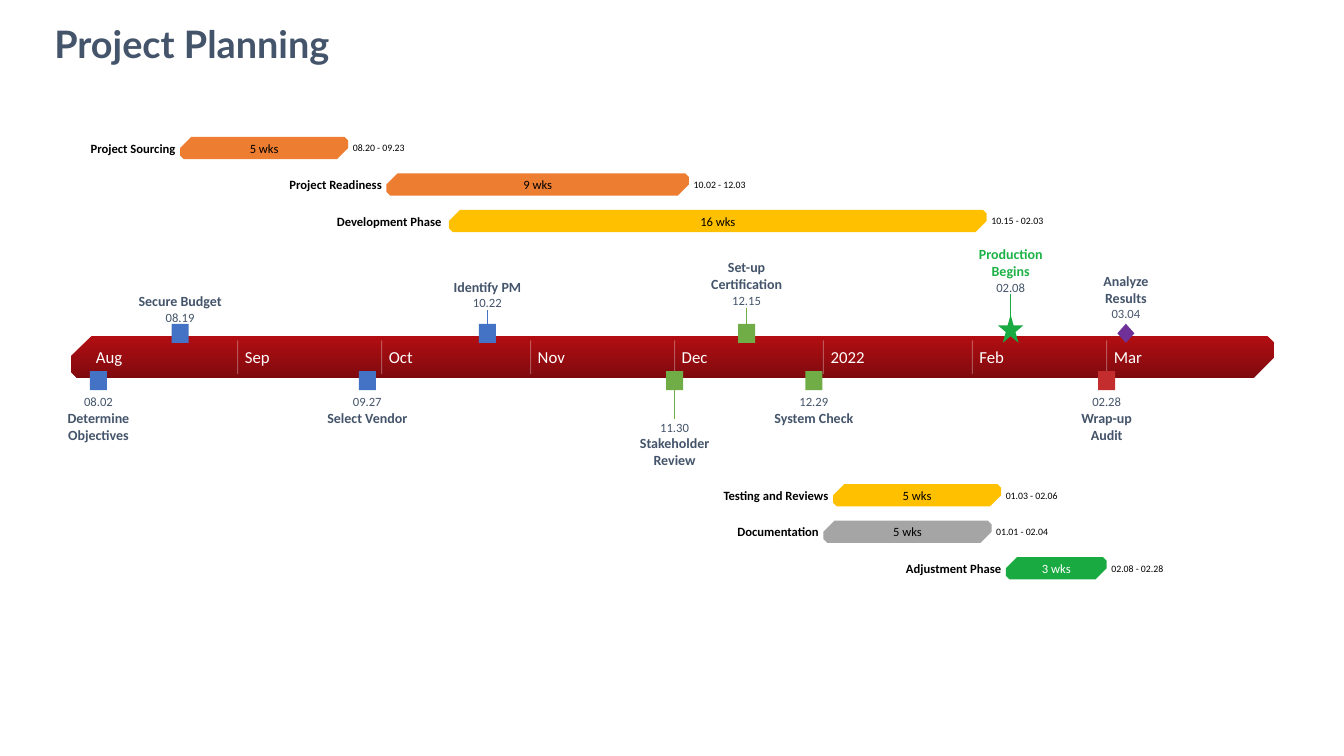
from dataclasses import dataclass

from lxml import etree
from pptx import Presentation
from pptx.dml.color import RGBColor
from pptx.enum.shapes import MSO_CONNECTOR, MSO_SHAPE
from pptx.enum.text import MSO_ANCHOR, PP_ALIGN
from pptx.oxml.ns import qn
from pptx.shapes.autoshape import Shape
from pptx.shapes.connector import Connector
from pptx.slide import Slide
from pptx.text.text import TextFrame
from pptx.util import Cm, Pt

SQUARE, STAR, DIAMOND = MSO_SHAPE.RECTANGLE, MSO_SHAPE.STAR_5_POINT, MSO_SHAPE.DIAMOND
SNIPPED, STRAIGHT = MSO_SHAPE.SNIP_2_DIAG_RECTANGLE, MSO_CONNECTOR.STRAIGHT
LEFT, CENTER, RIGHT = PP_ALIGN.LEFT, PP_ALIGN.CENTER, PP_ALIGN.RIGHT
MIDDLE, BOTTOM = MSO_ANCHOR.MIDDLE, MSO_ANCHOR.BOTTOM
TOP_SIDE, BOTTOM_SIDE = 0, 2

BLUE, LEAF, GREEN = "4472C4", "70AD47", "1AAA42"
ORANGE, AMBER, GRAY = "ED7D31", "FFC000", "A5A5A5"
SLATE, WHITE, BLACK = "44546A", "FFFFFF", "000000"

# Horizontal scale, in centimetres and days since August 1
AUGUST_X, MARCH_X, MARCH_DAY = 2.24, 27.89, 212
MONTHS = {"08": ("Aug", 0), "09": ("Sep", 31), "10": ("Oct", 61), "11": ("Nov", 92),
          "12": ("Dec", 122), "01": ("2022", 153), "02": ("Feb", 184), "03": ("Mar", MARCH_DAY)}

BAND_Y, BAND_HEIGHT = 8.46, 1.07
BAR_HEIGHT, BAR_STEP = 0.56, 0.92
DATE_HEIGHT, TITLE_LINE = 0.38, 0.43
UPPER_MARKER_BOTTOM, LOWER_MARKER_TOP = 8.64, 9.35
MIN_STEM_GAP = 0.2


@dataclass(frozen=True)
class Task:
    name: str
    start: str
    end: str
    weeks: int
    fill: str
    ink: str = BLACK


@dataclass(frozen=True)
class Milestone:
    title: str
    date: str
    date_y: float
    title_width: float
    lines: int
    fill: str
    above: bool
    marker: MSO_SHAPE = SQUARE
    marker_size: tuple[float, float] = (0.43, 0.48)
    ink: str = SLATE


UPPER_TASKS = [
    Task("Project Sourcing", "08.20", "09.23", 5, ORANGE),
    Task("Project Readiness", "10.02", "12.03", 9, ORANGE),
    Task("Development Phase ", "10.15", "02.03", 16, AMBER),
]
LOWER_TASKS = [
    Task("Testing and Reviews", "01.03", "02.06", 5, AMBER),
    Task("Documentation", "01.01", "02.04", 5, GRAY),
    Task("Adjustment Phase", "02.08", "02.28", 3, GREEN, WHITE),
]
MILESTONES = [
    Milestone("Secure Budget", "08.19", 7.8, 2.16, 1, BLUE, True),
    Milestone("Identify PM", "10.22", 7.44, 1.8, 1, BLUE, True),
    Milestone("Set-up Certification", "12.15", 7.37, 1.85, 2, LEAF, True),
    Milestone("Production Begins", "02.08", 7.04, 1.72, 2, GREEN, True, STAR, (0.64, 0.71), "1DB246"),
    Milestone("Analyze Results", "03.04", 7.72, 1.28, 2, "6F3198", True, DIAMOND),
    Milestone("Determine Objectives", "08.02", 9.93, 1.69, 2, BLUE, False),
    Milestone("Select Vendor", "09.27", 9.93, 2.14, 1, BLUE, False),
    Milestone("Stakeholder Review", "11.30", 10.57, 1.92, 2, LEAF, False),
    Milestone("System Check", "12.29", 9.93, 2.08, 1, LEAF, False),
    Milestone("Wrap-up Audit", "02.28", 9.93, 1.42, 2, "C32D2E", False),
]


def color(value: str) -> RGBColor:
    return RGBColor.from_string(value)


def day_x(date: str, days_later: int = 0) -> float:
    """Return where the day "MM.DD" begins, moved on by some days."""
    month, day = date.split(".")
    days = MONTHS[month][1] + int(day) - 1 + days_later
    return AUGUST_X + days * (MARCH_X - AUGUST_X) / MARCH_DAY


def write(frame: TextFrame, text: str, size: float, ink: str, align: PP_ALIGN,
          bold: bool = False, font: str = "Calibri") -> None:
    frame.word_wrap = True
    frame.vertical_anchor = MIDDLE
    frame.margin_left = frame.margin_right = frame.margin_top = frame.margin_bottom = 0
    para = frame.paragraphs[0]
    para.text = text
    para.alignment = align
    para.font.name, para.font.size, para.font.bold = font, Pt(size), bold
    para.font.color.rgb = color(ink)


def add_text(page: Slide, x: float, y: float, width: float, height: float, text: str,
             size: float, ink: str, align: PP_ALIGN = LEFT, bold: bool = False,
             font: str = "Calibri") -> Shape:
    box = page.shapes.add_textbox(Cm(x), Cm(y), Cm(width), Cm(height))
    write(box.text_frame, text, size, ink, align, bold, font)
    return box


def add_figure(page: Slide, kind: MSO_SHAPE, x: float, y: float, width: float,
               height: float, fill: str) -> Shape:
    figure = page.shapes.add_shape(kind, Cm(x), Cm(y), Cm(width), Cm(height))
    figure.shadow.inherit = False
    figure.line.fill.background()
    figure.fill.solid()
    figure.fill.fore_color.rgb = color(fill)
    if kind == SNIPPED:
        figure.adjustments[0], figure.adjustments[1] = 1, 0.167
    return figure


def add_vertical(page: Slide, x: float, top: float, bottom: float, ink: str) -> Connector:
    line = page.shapes.add_connector(STRAIGHT, Cm(x), Cm(top), Cm(x), Cm(bottom))
    line.line.color.rgb = color(ink)
    line.line.width = Pt(0.75)
    etree.SubElement(line._element.spPr, qn("a:effectLst"))
    return line


def add_band(page: Slide) -> None:
    """Draw the month band with its ticks and labels."""
    band = add_figure(page, SNIPPED, 1.78, BAND_Y, 30.33, BAND_HEIGHT, WHITE)
    band.fill.gradient()
    band.fill.gradient_angle = 270
    for stop, shade in zip(band.fill.gradient_stops, ("B20E12", "7F0A0E")):
        stop.color.rgb = color(shade)
    for month, (label, first_day) in MONTHS.items():
        x = day_x(f"{month}.01")
        add_text(page, x + 0.18, BAND_Y, 1, BAND_HEIGHT, label, 12, WHITE)
        if first_day:
            tick = add_vertical(page, x, 8.58, 9.42, WHITE)
            ink = next(tick._element.iter(qn("a:srgbClr")))
            etree.SubElement(ink, qn("a:alpha"), val="30000")


def add_task(page: Slide, task: Task, y: float) -> None:
    left, right = day_x(task.start), day_x(task.end, 1)
    bar = add_figure(page, SNIPPED, left, y, right - left, BAR_HEIGHT, task.fill)
    write(bar.text_frame, f"{task.weeks} wks", 9, task.ink, CENTER)
    name_width = 2.8
    add_text(page, left - 0.12 - name_width, y, name_width, BAR_HEIGHT, task.name, 9, BLACK, RIGHT, True)
    add_text(page, right + 0.12, y, 1.45, BAR_HEIGHT, f"{task.start} - {task.end}", 7, BLACK)


def add_milestone(page: Slide, item: Milestone) -> None:
    x = day_x(item.date, 1)
    width, height = item.marker_size
    title_height = item.lines * TITLE_LINE
    date_bottom = item.date_y + DATE_HEIGHT
    if item.above:
        marker_y, title_y = UPPER_MARKER_BOTTOM - height, item.date_y - title_height
        gap, date_edge, side = marker_y - date_bottom, date_bottom, BOTTOM_SIDE
    else:
        marker_y, title_y = LOWER_MARKER_TOP, date_bottom
        gap, date_edge, side = item.date_y - marker_y - height, item.date_y, TOP_SIDE
    date_box = add_text(page, x - 0.4, item.date_y, 0.8, DATE_HEIGHT, item.date, 9, SLATE, CENTER)
    if gap > MIN_STEM_GAP:
        stem = add_vertical(page, x, date_edge, marker_y + height / 2, item.fill)
        stem.begin_connect(date_box, side)
    add_figure(page, item.marker, x - width / 2, marker_y, width, height, item.fill)
    add_text(page, x - item.title_width / 2, title_y, item.title_width, title_height,
             item.title, 10, item.ink, CENTER, True)


def main() -> None:
    deck = Presentation()
    deck.slide_width, deck.slide_height = Cm(33.87), Cm(19.05)
    page = deck.slides.add_slide(deck.slide_layouts[6])
    heading = add_text(page, 1.37, 0.76, 16.5, 0.9, "Project Planning", 27, SLATE, LEFT, True, "Lato")
    heading.text_frame.vertical_anchor = BOTTOM
    add_band(page)
    for first_y, tasks in ((3.45, UPPER_TASKS), (12.2, LOWER_TASKS)):
        for row, task in enumerate(tasks):
            add_task(page, task, first_y + row * BAR_STEP)
    for item in MILESTONES:
        add_milestone(page, item)
    deck.save("out.pptx")


if __name__ == "__main__":
    main()
